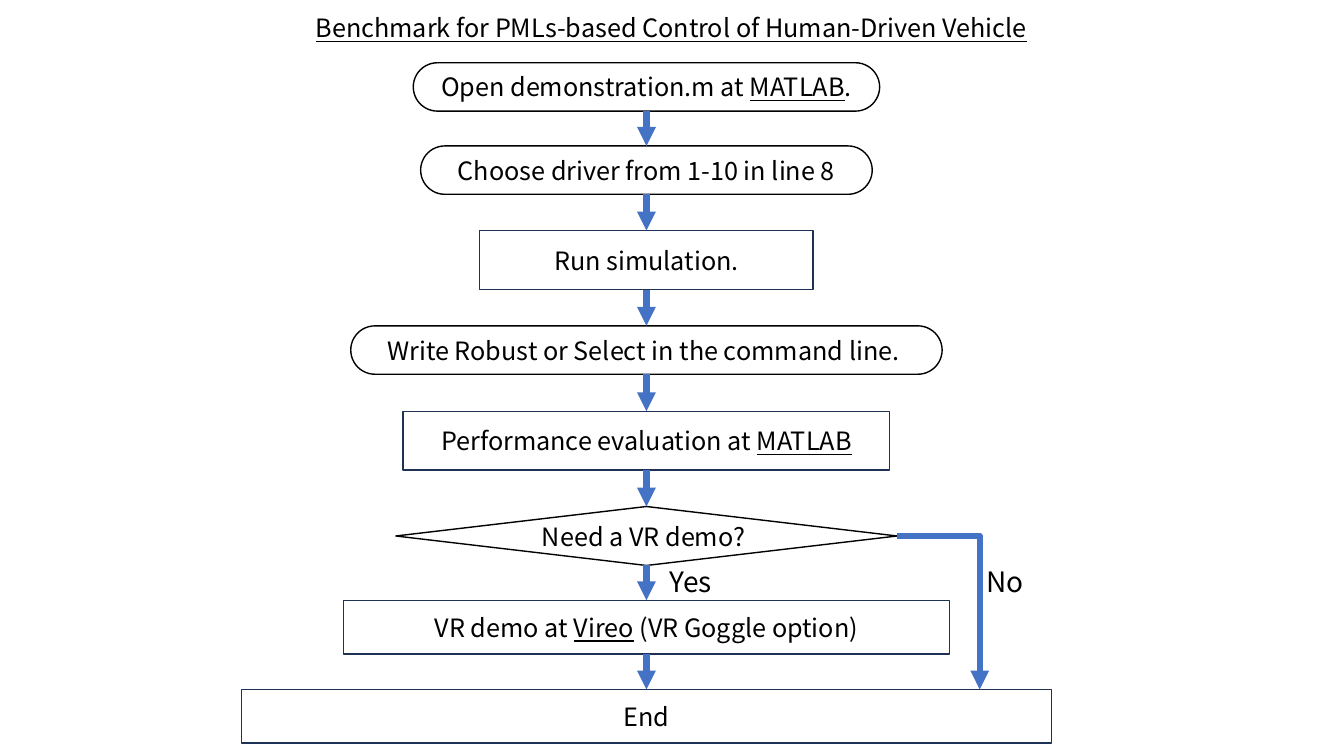
from itertools import pairwise

from lxml.etree import SubElement
from pptx import Presentation
from pptx.dml.color import RGBColor
from pptx.enum.shapes import MSO_CONNECTOR as Link, MSO_SHAPE as Shape
from pptx.enum.text import MSO_ANCHOR as Anchor, MSO_AUTO_SIZE as Fit, PP_ALIGN as Align
from pptx.oxml.ns import qn
from pptx.util import Inches, Pt

BLACK, WHITE, NAVY, BLUE = "000000", "FFFFFF", "1E3256", "4472C4"
MID = 48.1  # axis of the main flow, in columns


def tint(code):
    return RGBColor.from_string(code)


class Chart:
    """Flow chart on a grid of 100 columns by 100 rows."""

    font = "Noto Sans CJK JP"

    def __init__(self, deck):
        self.col = deck.slide_width / 100
        self.row = deck.slide_height / 100
        self.slide = deck.slides.add_slide(deck.slide_layouts[5])

    def place(self, x, y, w, h):
        return [round(n) for n in (x * self.col, y * self.row, w * self.col, h * self.row)]

    def label(self, shape, text, size):
        """Fill a shape with centred text; words between underscores are underlined."""
        frame = shape.text_frame
        frame.word_wrap = True
        frame.auto_size = Fit.NONE
        frame.vertical_anchor = Anchor.MIDDLE
        para = frame.paragraphs[0]
        para.alignment = Align.CENTER
        for i, part in enumerate(text.split("_")):
            if part:
                run = para.add_run()
                run.text = part
                run.font.name = self.font
                run.font.size = Pt(size)
                run.font.color.rgb = tint(BLACK)
                run.font.underline = i % 2 == 1

    def title(self, text, *spot):
        shape = self.slide.shapes.title
        shape.left, shape.top, shape.width, shape.height = self.place(*spot)
        self.label(shape, text, 18)

    def box(self, kind, text, spot, edge=None, size=18):
        shape = self.slide.shapes.add_shape(kind, *self.place(*spot))
        shape.shadow.inherit = False
        shape.fill.solid()
        shape.fill.fore_color.rgb = tint(WHITE)
        if edge:
            shape.line.color.rgb = tint(edge)
            shape.line.width = Pt(1)
        else:
            shape.line.fill.background()
        if kind == Shape.ROUNDED_RECTANGLE:
            shape.adjustments[0] = 0.5
        self.label(shape, text, size)
        return shape

    def arrow(self, kind, start, end):
        line = self.slide.shapes.add_connector(kind, *self.place(*start, *end))
        line.line.color.rgb = tint(BLUE)
        line.line.width = Pt(4.5)
        edge = line._element.spPr.find(qn("a:ln"))
        SubElement(edge, qn("a:tailEnd"), type="triangle")
        SubElement(line._element.spPr, qn("a:effectLst"))
        return line

    def join(self, top, low):
        line = self.arrow(Link.STRAIGHT, (MID, 0), (MID, 1))
        line.begin_connect(top, 2)
        line.end_connect(low, 0)

    def bend(self, start, end):
        """Draw an arrow that runs right, then turns down once."""
        line = self.arrow(Link.ELBOW, start, end)
        line._element.spPr.find(qn("a:prstGeom")).set("prst", "bentConnector2")


def main():
    deck = Presentation()
    deck.slide_width, deck.slide_height = Inches(13.33), Inches(7.5)
    chart = Chart(deck)
    chart.title("_Benchmark for PMLs-based Control of Human-Driven Vehicle_",
                16.7, -3.2, 66.5, 13.7)

    pill = Shape.ROUNDED_RECTANGLE, BLACK
    task = Shape.RECTANGLE, NAVY
    test = Shape.DIAMOND, BLACK
    # style, text, top row, columns wide, rows high
    steps = [
        (pill, "Open demonstration.m at _MATLAB_.", 8.3, 34.7, 6.4),
        (pill, "Choose driver from 1-10 in line 8", 19.3, 33.6, 6.4),
        (task, "Run simulation.", 30.5, 24.8, 7.8),
        (pill, "Write Robust or Select in the command line. ", 43.1, 44, 6.4),
        (task, "Performance evaluation at _MATLAB_", 54.4, 36.2, 7.8),
        (test, "Need a VR demo? ", 67, 37.3, 7.8),
        (task, "VR demo at _Vireo_ (VR Goggle option)", 79.4, 45.1, 7.1),
        (task, "End", 91.2, 60.3, 7.1),
    ]
    boxes = [chart.box(kind, text, (MID - wide / 2, top, wide, high), edge)
             for (kind, edge), text, top, wide, high in steps]

    for text, left in (("Yes", 48.9), ("No", 72.3)):
        chart.box(Shape.RECTANGLE, text, (left, 74.9, 5, 3.9), size=20)
    for top, low in pairwise(boxes):
        chart.join(top, low)
    chart.bend((66.75, 70.9), (72.9, 91.2))

    deck.save("out.pptx")


if __name__ == "__main__":
    main()
